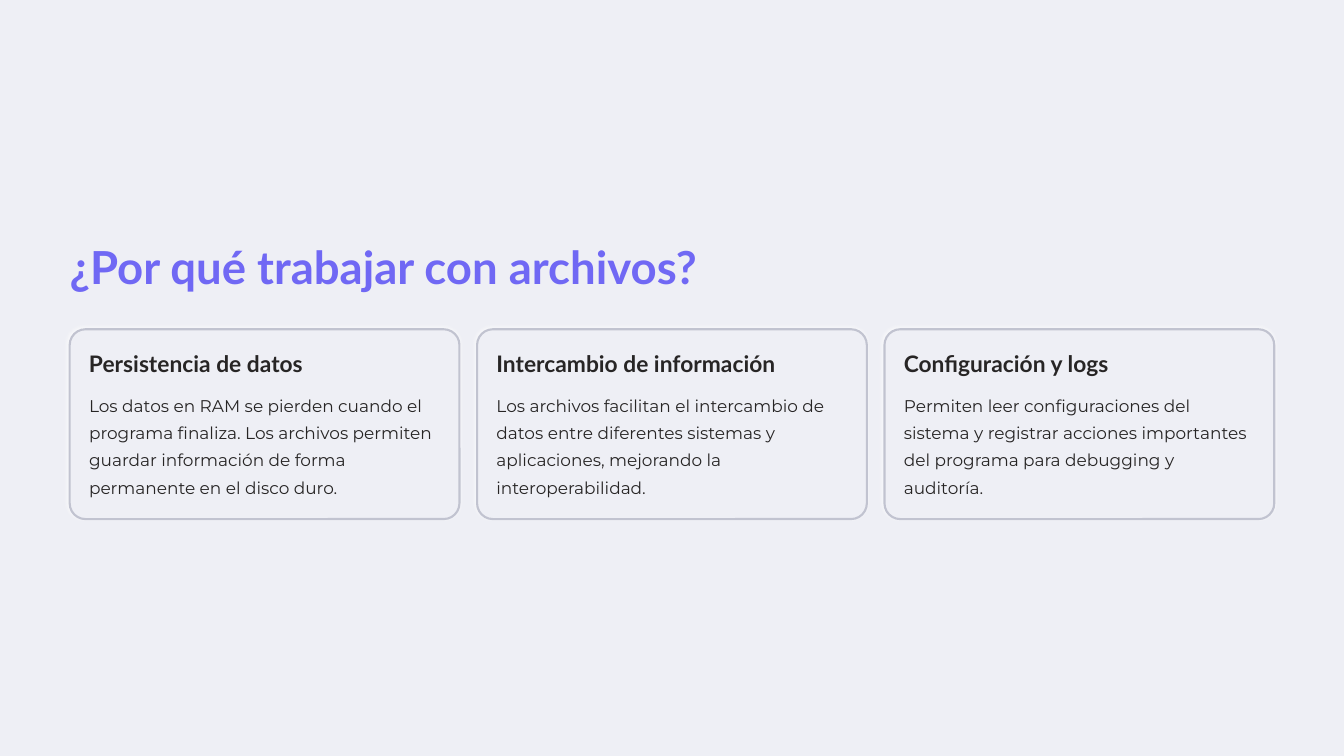
from dataclasses import dataclass

from lxml.etree import SubElement
from pptx import Presentation
from pptx.dml.color import RGBColor
from pptx.enum.shapes import MSO_SHAPE as Shape
from pptx.enum.text import MSO_ANCHOR as Anchor, MSO_AUTO_SIZE as AutoSize, PP_ALIGN as Align
from pptx.oxml.ns import qn
from pptx.shapes.autoshape import Shape as AutoShape
from pptx.slide import Slide
from pptx.util import Inches, Pt

BACKGROUND = "EEEFF5"
ACCENT = "7068F4"
INK = "272525"
BORDER = "C1C3D0"

LEFT = 0.83
CARD_TOP = 3.92
CARD_WIDTH = 4.64
CARD_HEIGHT = 2.26
CARD_STEP = 4.85
PADDING = 0.23


@dataclass
class TextStyle:
    font: str
    size: float
    line_spacing: float
    color: str
    bold: bool = False
    wrap: bool = False


@dataclass
class Card:
    heading: str
    heading_width: float
    body: str


TITLE = TextStyle("Lato", 39, 49, ACCENT, bold=True)
HEADING = TextStyle("Lato", 19.5, 24.5, INK, bold=True)
BODY = TextStyle("Montserrat", 14.5, 23.5, INK, wrap=True)

CARDS = [
    Card("Persistencia de datos", 2.73,
         "Los datos en RAM se pierden cuando el programa finaliza. "
         "Los archivos permiten guardar información de forma permanente en el disco duro."),
    Card("Intercambio de información", 3.34,
         "Los archivos facilitan el intercambio de datos entre diferentes sistemas "
         "y aplicaciones, mejorando la interoperabilidad."),
    Card("Configuración y logs", 2.73,
         "Permiten leer configuraciones del sistema y registrar acciones importantes "
         "del programa para debugging y auditoría."),
]


def rgb(value: str) -> RGBColor:
    return RGBColor.from_string(value)


def write(sp: AutoShape, text: str, style: TextStyle) -> None:
    tf = sp.text_frame
    tf.margin_left = tf.margin_top = tf.margin_right = tf.margin_bottom = 0
    tf.auto_size = AutoSize.NONE
    tf.vertical_anchor = Anchor.TOP
    tf.word_wrap = style.wrap
    tf.text = text
    p = tf.paragraphs[0]
    p.alignment = Align.LEFT
    p.line_spacing = Pt(style.line_spacing)
    p.font.name = style.font
    p.font.size = Pt(style.size)
    p.font.bold = style.bold
    p.font.color.rgb = rgb(style.color)


def add_text(slide: Slide, x: float, y: float, w: float, h: float,
             text: str, style: TextStyle) -> None:
    sp = slide.shapes.add_textbox(Inches(x), Inches(y), Inches(w), Inches(h))
    write(sp, text, style)


def add_glow(sp: AutoShape, color: str) -> None:
    sp.shadow.inherit = False
    effects = sp._element.spPr.find(qn("a:effectLst"))
    shadow = SubElement(effects, qn("a:outerShdw"), blurRad=str(Pt(3.7)), dist=str(Pt(1.8)),
                        dir=str(225 * 60000), algn="bl", rotWithShape="0")
    tint = SubElement(shadow, qn("a:srgbClr"), val=color)
    SubElement(tint, qn("a:alpha"), val="70000")


def add_card(slide: Slide, x: float, card: Card) -> None:
    sp = slide.shapes.add_shape(Shape.ROUNDED_RECTANGLE, Inches(x), Inches(CARD_TOP),
                                Inches(CARD_WIDTH), Inches(CARD_HEIGHT))
    sp.adjustments[0] = 0.083
    sp.fill.solid()
    sp.fill.fore_color.rgb = rgb(BACKGROUND)
    sp.line.color.rgb = rgb(BORDER)
    sp.line.width = Pt(1.8)
    add_glow(sp, "FFFFFF")
    text_x = x + PADDING
    add_text(slide, text_x, CARD_TOP + PADDING, card.heading_width, 0.34, card.heading, HEADING)
    add_text(slide, text_x, 4.62, CARD_WIDTH - 2 * PADDING, 1.33, card.body, BODY)


def main() -> None:
    prs = Presentation()
    prs.slide_width, prs.slide_height = Inches(16), Inches(9)
    slide = prs.slides.add_slide(prs.slide_layouts[5])
    slide.background.fill.solid()
    slide.background.fill.fore_color.rgb = rgb(BACKGROUND)

    title = slide.shapes.title
    title.left, title.top = Inches(LEFT), Inches(2.82)
    title.width, title.height = Inches(7.62), Inches(0.68)
    write(title, "¿Por qué trabajar con archivos?", TITLE)

    for i, card in enumerate(CARDS):
        add_card(slide, LEFT + i * CARD_STEP, card)
    prs.save("out.pptx")


if __name__ == "__main__":
    main()
